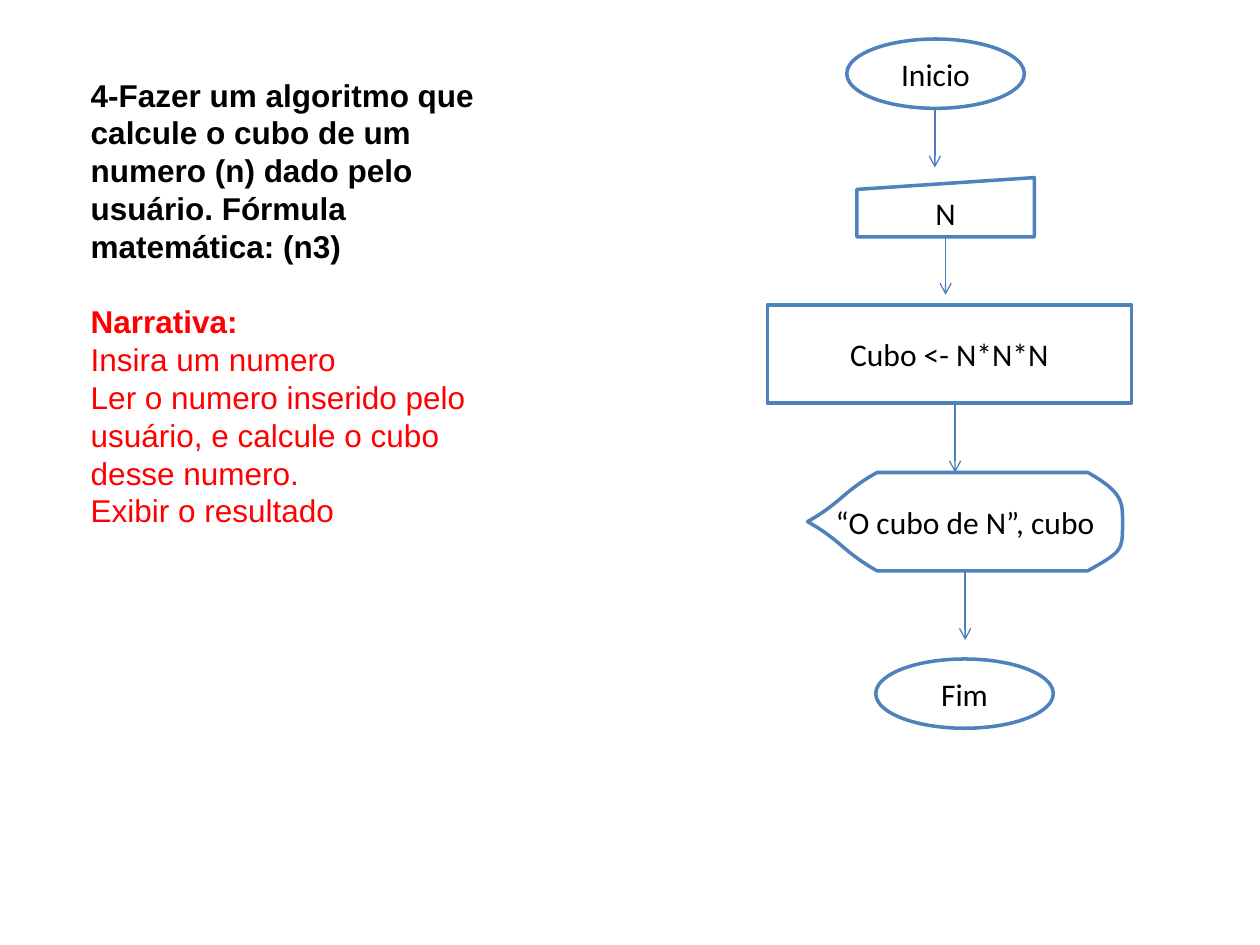
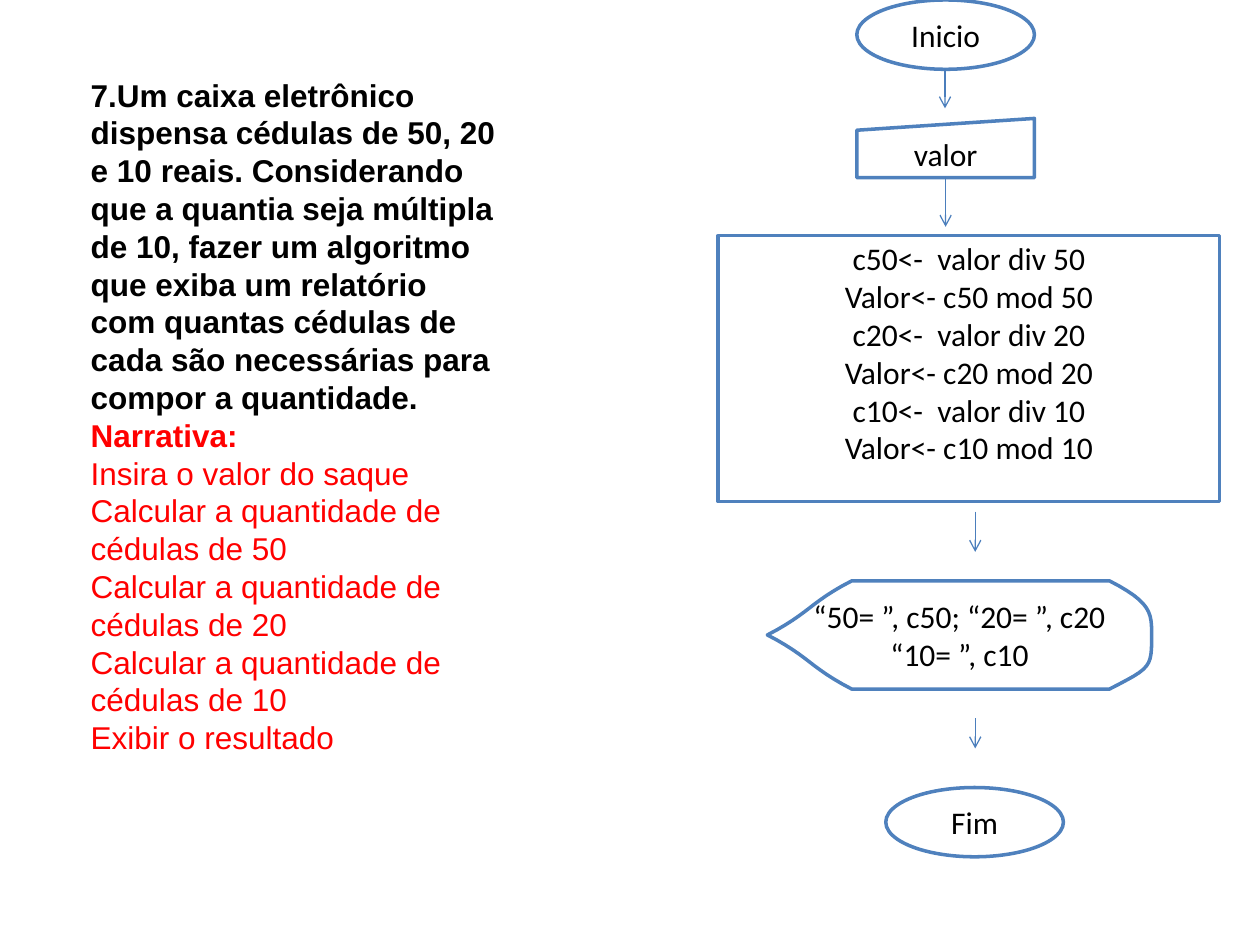
from dataclasses import dataclass

import pptx
import pptx.dml.color
import pptx.enum.shapes
import pptx.enum.text
import pptx.oxml
import pptx.oxml.ns
import pptx.util
from pptx.util import Inches

RGBColor = pptx.dml.color.RGBColor
MSO_SHAPE = pptx.enum.shapes.MSO_SHAPE
PP_ALIGN = pptx.enum.text.PP_ALIGN
MSO_ANCHOR = pptx.enum.text.MSO_ANCHOR

# Shared look
BLACK = RGBColor(0x00, 0x00, 0x00)
RED = RGBColor(0xFF, 0x00, 0x00)
WHITE = RGBColor(0xFF, 0xFF, 0xFF)
OUTLINE = RGBColor(0x4F, 0x81, 0xBD)
ARROW = RGBColor(0x4B, 0x7E, 0xBC)
TEXT_SIZE = pptx.util.Pt(18)
LINE_PITCH = pptx.util.Pt(21.6)
LINE_HEIGHT = 0.3
TEXT_LEFT, TEXT_TOP, TEXT_WIDTH = 0.62, 0.55, 3.44
OVAL_SIZE = (1.41, 0.55)
INPUT_SIZE = (1.41, 0.47)

# Display symbol as fractions of its box: each curve is four Bezier points
DISPLAY_CURVES = [
    [(0, 0.5), (0.11, 0.3), (0.11, 0.2), (0.22, 0)],
    [(0.89, 0), (1, 0.2), (1, 0.3), (1, 0.5)],
    [(1, 0.5), (1, 0.8), (1, 0.8), (0.89, 1)],
    [(0.22, 1), (0.11, 0.8), (0.11, 0.7), (0, 0.5)],
]
CURVE_STEPS = 12


@dataclass
class Node:
    kind: str  # oval, input, process or display
    left: float
    top: float
    size: tuple[float, float]
    lines: list[str]
    bottom_gap: float = 0.0


@dataclass
class Arrow:
    x: float
    start: float
    end: float
    source: int | None = None  # node whose bottom side it leaves


@dataclass
class Exercise:
    question: str
    narrative_row: int  # text row on which the narrative begins
    steps: list[str]
    nodes: list[Node]
    arrows: list[Arrow]


PRESETS = {
    "oval": MSO_SHAPE.OVAL,
    "input": MSO_SHAPE.FLOWCHART_MANUAL_INPUT,
    "process": MSO_SHAPE.FLOWCHART_PROCESS,
}

EXERCISES = [
    Exercise(
        "4-Fazer um algoritmo que calcule o cubo de um numero (n) dado pelo usuário. "
        "Fórmula matemática: (n3)",
        6,
        ["Insira um numero",
         "Ler o numero inserido pelo usuário, e calcule o cubo desse numero.",
         "Exibir o resultado"],
        [Node("oval", 6.72, 0.31, OVAL_SIZE, ["Inicio"]),
         Node("input", 6.8, 1.41, INPUT_SIZE, ["N"]),
         Node("process", 6.09, 2.42, (2.89, 0.78), ["Cubo <- N*N*N"]),
         Node("display", 6.41, 3.75, (2.5, 0.78), ["“O cubo de N”, cubo"]),
         Node("oval", 6.95, 5.23, OVAL_SIZE, ["Fim"])],
        [Arrow(7.42, 0.86, 1.33), Arrow(7.5, 1.88, 2.34, source=1),
         Arrow(7.58, 3.2, 3.75), Arrow(7.66, 4.53, 5.08)],
    ),
    Exercise(
        "7.Um caixa eletrônico dispensa cédulas de 50, 20 e 10 reais. Considerando que "
        "a quantia seja múltipla de 10, fazer um algoritmo que exiba um relatório com "
        "quantas cédulas de cada são necessárias para compor a quantidade.",
        9,
        ["Insira o valor do saque",
         *(f"Calcular a quantidade de cédulas de {note}" for note in (50, 20, 10)),
         "Exibir o resultado"],
        [Node("oval", 6.8, 0, OVAL_SIZE, ["Inicio"]),
         Node("input", 6.8, 0.94, INPUT_SIZE, ["valor"]),
         Node("process", 5.7, 1.87, (3.98, 2.11),
              [line for note in (50, 20, 10)
               for line in (f"c{note}<-  valor div {note}", f"Valor<- c{note} mod {note}")],
              bottom_gap=0.25),
         Node("display", 6.09, 4.61, (3.05, 0.86),
              ["“50= ”, c50; “20= ”, c20 “10= ”, c10"]),
         Node("oval", 7.03, 6.25, OVAL_SIZE, ["Fim"])],
        [Arrow(7.5, 0.55, 0.86), Arrow(7.5, 1.41, 1.8, source=1),
         Arrow(7.74, 4.06, 4.38), Arrow(7.74, 5.7, 5.94)],
    ),
]


def write_lines(tf, lines: list[str], font: str, color: RGBColor, align: PP_ALIGN) -> None:
    """Write one paragraph per line in the shared size and line pitch."""
    tf.word_wrap = True
    for i, line in enumerate(lines):
        p = tf.paragraphs[0] if i == 0 else tf.add_paragraph()
        p.alignment = align
        p.line_spacing = LINE_PITCH
        p.space_before = pptx.util.Pt(0)
        r = p.add_run()
        r.text = line
        r.font.name = font
        r.font.size = TEXT_SIZE
        r.font.bold = False
        r.font.color.rgb = color


def fill_placeholder(sp, row: int, rows: int, lines: list[str], color: RGBColor) -> None:
    """Place a placeholder on the text column; its first paragraph is bold."""
    sp.left, sp.top = Inches(TEXT_LEFT), Inches(TEXT_TOP + row * LINE_HEIGHT)
    sp.width, sp.height = Inches(TEXT_WIDTH), Inches(rows * LINE_HEIGHT + 0.1)
    tf = sp.text_frame
    tf.auto_size = pptx.enum.text.MSO_AUTO_SIZE.NONE
    tf.vertical_anchor = MSO_ANCHOR.TOP
    write_lines(tf, lines, "Arial", color, PP_ALIGN.LEFT)
    tf.paragraphs[0].runs[0].font.bold = True
    for p in tf.paragraphs:
        p_pr = p._p.get_or_add_pPr()
        p_pr.set("marL", "0")
        p_pr.set("indent", "0")
        p_pr.append(pptx.oxml.parse_xml(f"<a:buNone {pptx.oxml.ns.nsdecls('a')}/>"))


def bezier(curve: list[tuple[float, float]], t: float) -> tuple[float, float]:
    """Return the point of a cubic curve at t."""
    weights = ((1 - t) ** 3, 3 * t * (1 - t) ** 2, 3 * t * t * (1 - t), t ** 3)
    return (sum(w * x for w, (x, _) in zip(weights, curve)),
            sum(w * y for w, (_, y) in zip(weights, curve)))


def add_display(s, node: Node):
    """Outline the display symbol, pointed on the left and rounded on the right."""
    width, height = node.size
    points = []
    for curve in DISPLAY_CURVES:
        for step in range(CURVE_STEPS + 1):
            x, y = bezier(curve, step / CURVE_STEPS)
            points.append((Inches(node.left + x * width), Inches(node.top + y * height)))
    outline = s.shapes.build_freeform(*points[0])
    outline.add_line_segments(points[1:], close=True)
    return outline.convert_to_shape()


def add_node(s, node: Node):
    """Draw one flowchart symbol with its centred text."""
    if node.kind == "display":
        sp = add_display(s, node)
    else:
        sp = s.shapes.add_shape(PRESETS[node.kind], Inches(node.left), Inches(node.top),
                                *map(Inches, node.size))
    sp.shadow.inherit = False
    sp.fill.solid()
    sp.fill.fore_color.rgb = WHITE
    sp.line.color.rgb = OUTLINE
    sp.line.width = pptx.util.Pt(2)
    tf = sp.text_frame
    tf.vertical_anchor = MSO_ANCHOR.MIDDLE
    if node.kind == "display":
        tf.margin_left = tf.margin_right = Inches(0.18)
    if node.bottom_gap:
        tf.margin_top, tf.margin_bottom = Inches(0), Inches(node.bottom_gap)
    write_lines(tf, node.lines, "Calibri", BLACK, PP_ALIGN.CENTER)
    return sp


def add_arrow(s, arrow: Arrow, symbols: list) -> None:
    """Draw a downward arrow, joined to its source when it has one."""
    x = Inches(arrow.x)
    line = s.shapes.add_connector(pptx.enum.shapes.MSO_CONNECTOR.STRAIGHT,
                                  x, Inches(arrow.start), x, Inches(arrow.end))
    if arrow.source is not None:
        line.begin_connect(symbols[arrow.source], 2)
        line.end_x = line.begin_x
    line.line.color.rgb = ARROW
    line.line.width = pptx.util.Pt(0.75)
    ns = pptx.oxml.ns.nsdecls("a")
    line.line._get_or_add_ln().append(pptx.oxml.parse_xml(f'<a:tailEnd {ns} type="arrow"/>'))
    line._element.spPr.append(pptx.oxml.parse_xml(f"<a:effectLst {ns}/>"))


def add_exercise(prs, exercise: Exercise) -> None:
    """Build a slide: question and narrative on the left, flowchart on the right."""
    s = prs.slides.add_slide(prs.slide_layouts[1])
    row = exercise.narrative_row
    fill_placeholder(s.shapes.title, 0, row, [exercise.question], BLACK)
    fill_placeholder(s.placeholders[1], row, 9 if row == 9 else 6,
                     ["Narrativa:", *exercise.steps], RED)
    symbols = [add_node(s, node) for node in exercise.nodes]
    for arrow in exercise.arrows:
        add_arrow(s, arrow, symbols)


def main() -> None:
    prs = pptx.Presentation()
    prs.slide_width, prs.slide_height = Inches(10), Inches(7.5)
    for exercise in EXERCISES:
        add_exercise(prs, exercise)
    prs.save("out.pptx")


if __name__ == "__main__":
    main()
